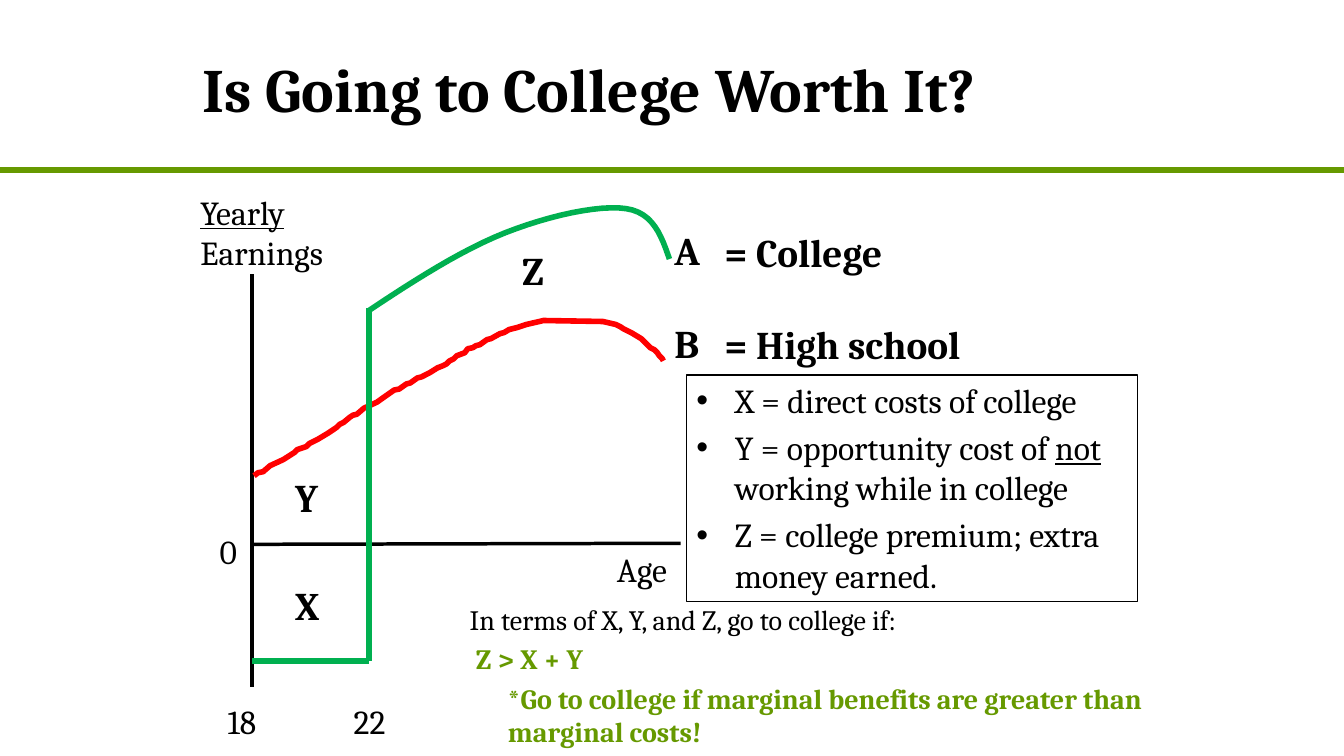
from lxml import etree
from pptx import Presentation
from pptx import util as u
from pptx.dml.color import RGBColor
from pptx.enum import shapes, text
from pptx.oxml.ns import qn

PX = u.Inches(1) // 100
FONT = "Cambria"
BLACK = RGBColor(0x00, 0x00, 0x00)
OLIVE = RGBColor(0x66, 0x99, 0x00)
RED = RGBColor(0xFF, 0x00, 0x00)
GREEN = RGBColor(0x00, 0xB0, 0x50)

HIGH_SCHOOL = [
    (252, 472), (256, 469), (261, 468), (268, 462), (281, 456), (292, 449),
    (295, 446), (304, 443), (307, 440), (315, 436), (325, 430), (334, 424),
    (337, 421), (341, 419), (347, 414), (350, 412), (354, 411), (361, 405),
    (374, 399), (381, 394), (391, 387), (396, 386), (403, 381), (407, 380),
    (414, 375), (418, 374), (426, 370), (434, 365), (439, 363), (443, 361),
    (446, 358), (450, 356), (453, 353), (461, 350), (464, 346), (469, 345),
    (472, 343), (476, 342), (483, 337), (487, 336), (496, 331), (500, 330),
    (505, 327), (513, 325), (522, 322), (535, 319), (539, 318), (598, 319),
    (611, 322), (615, 324), (618, 326), (626, 330), (636, 336), (642, 342),
    (645, 345), (649, 347), (652, 350), (654, 353), (657, 356), (658, 358),
]
COLLEGE_ARCS = [
    [(366, 308), (411, 278), (458, 248), (501, 231)],
    [(501, 231), (544, 214), (594, 203), (621, 207)],
    [(621, 207), (648, 211), (656, 234), (664, 257)],
]


def style_line(line, color, width):
    line.color.rgb = color
    line.width = u.Pt(width)


def add_line(page, start, end, color, width):
    ends = [value * PX for value in start + end]
    line = page.shapes.add_connector(shapes.MSO_CONNECTOR.STRAIGHT, *ends)
    style_line(line.line, color, width)
    etree.SubElement(line._element.spPr, qn("a:effectLst"))


def add_curve(page, points, color, width):
    points = [(x * PX, y * PX) for x, y in points]
    builder = page.shapes.build_freeform(*points[0])
    builder.add_line_segments(points[1:], close=False)
    curve = builder.convert_to_shape()
    curve.shadow.inherit = False
    curve.fill.background()
    style_line(curve.line, color, width)


def sample_arc(arc, steps=12):
    for step in range(steps + 1):
        t = step / steps
        weights = ((1 - t) ** 3, 3 * t * (1 - t) ** 2, 3 * t * t * (1 - t), t ** 3)
        yield tuple(sum(w * point[axis] for w, point in zip(weights, arc)) for axis in (0, 1))


def write_span(para, words, size=24, color=BLACK, bold=False, underline=False):
    span = para.add_run()
    span.text = words
    font = span.font
    font.name = FONT
    font.size = u.Pt(size)
    font.color.rgb = color
    font.bold = bold
    font.underline = underline


def format_para(para, margin=0, indent=0, before=0, bullet=None):
    para.alignment = text.PP_ALIGN.LEFT
    para.space_before = u.Pt(before)
    props = para._p.get_or_add_pPr()
    props.set("marL", str(margin * PX))
    props.set("indent", str(indent * PX))
    if bullet:
        etree.SubElement(props, qn("a:buFont"), typeface="Arial")
        etree.SubElement(props, qn("a:buChar"), char=bullet)


def place(box, left, top, width, height):
    box.left, box.top, box.width, box.height = (v * PX for v in (left, top, width, height))


def add_label(page, left, top, width, height, words, **style):
    box = page.shapes.add_textbox(0, 0, 0, 0)
    place(box, left, top, width, height)
    box.text_frame.word_wrap = True
    write_span(box.text_frame.paragraphs[0], words, **style)
    return box


def add_title(page):
    title = page.shapes.title
    place(title, 191, 4, 900, 167)
    frame = title.text_frame
    frame.auto_size = text.MSO_AUTO_SIZE.NONE
    frame.vertical_anchor = text.MSO_ANCHOR.MIDDLE
    format_para(frame.paragraphs[0])
    write_span(frame.paragraphs[0], "Is Going to College Worth It?", size=44, bold=True)


def add_legend(page):
    legend = page.shapes.add_shape(shapes.MSO_SHAPE.RECTANGLE, 0, 0, 0, 0)
    place(legend, 681, 372, 447, 225)
    legend.shadow.inherit = False
    legend.fill.background()
    style_line(legend.line, BLACK, 0.75)
    frame = legend.text_frame
    frame.word_wrap = True
    frame.vertical_anchor = text.MSO_ANCHOR.TOP
    meanings = [
        [("X = direct costs of college", False)],
        [("Y = opportunity cost of ", False), ("not", True), (" working while in college", False)],
        [("Z = college premium; extra money earned.", False)],
    ]
    for index, spans in enumerate(meanings):
        para = frame.add_paragraph() if index else frame.paragraphs[0]
        format_para(para, margin=38, indent=-38, before=4.8, bullet="•")
        for words, underline in spans:
            write_span(para, words, underline=underline)


def add_conclusion(page):
    box = add_label(page, 456, 593, 731, 185, "In terms of X, Y, and Z, go to college if:", size=20)
    frame = box.text_frame
    format_para(frame.paragraphs[0], margin=38, indent=-38, before=4)
    answers = [
        (" Z > X + Y", -38),
        ("*Go to college if marginal benefits are greater than marginal costs!", 0),
    ]
    for words, indent in answers:
        para = frame.add_paragraph()
        format_para(para, margin=38, indent=indent, before=4)
        write_span(para, words, size=20, color=OLIVE, bold=True)


def main():
    deck = Presentation()
    deck.slide_width, deck.slide_height = 1333 * PX, 750 * PX
    page = deck.slides.add_slide(deck.slide_layouts[5])

    add_line(page, (0, 169), (1333, 169), OLIVE, 4.5)
    add_title(page)

    add_line(page, (250, 272), (250, 682), BLACK, 2.5)
    add_line(page, (250, 540), (675, 539), BLACK, 2.5)
    for words, left, top, width in [("22", 341, 690, 67), ("18", 216, 690, 67),
                                    ("Age", 602, 540, 92), ("0", 208, 522, 42)]:
        add_label(page, left, top, width, 50, words)
    axis = add_label(page, 189, 185, 183, 91, "Yearly", underline=True)
    write_span(axis.text_frame.paragraphs[0], " Earnings")

    add_curve(page, HIGH_SCHOOL, RED, 4)
    add_line(page, (250, 656), (366, 656), GREEN, 4)
    add_line(page, (366, 656), (366, 306), GREEN, 4)
    add_curve(page, [point for arc in COLLEGE_ARCS for point in sample_arc(arc)], GREEN, 4)

    add_legend(page)
    for words, left, top, width in [("X", 283, 572, 67), ("Y", 283, 465, 67), ("Z", 508, 239, 67),
                                    ("A", 659, 220, 67), ("B", 659, 312, 67),
                                    (" = College", 700, 222, 200), (" = High school", 700, 313, 308)]:
        add_label(page, left, top, width, 57, words, size=28, bold=True)
    add_conclusion(page)
    deck.save("out.pptx")


if __name__ == "__main__":
    main()
